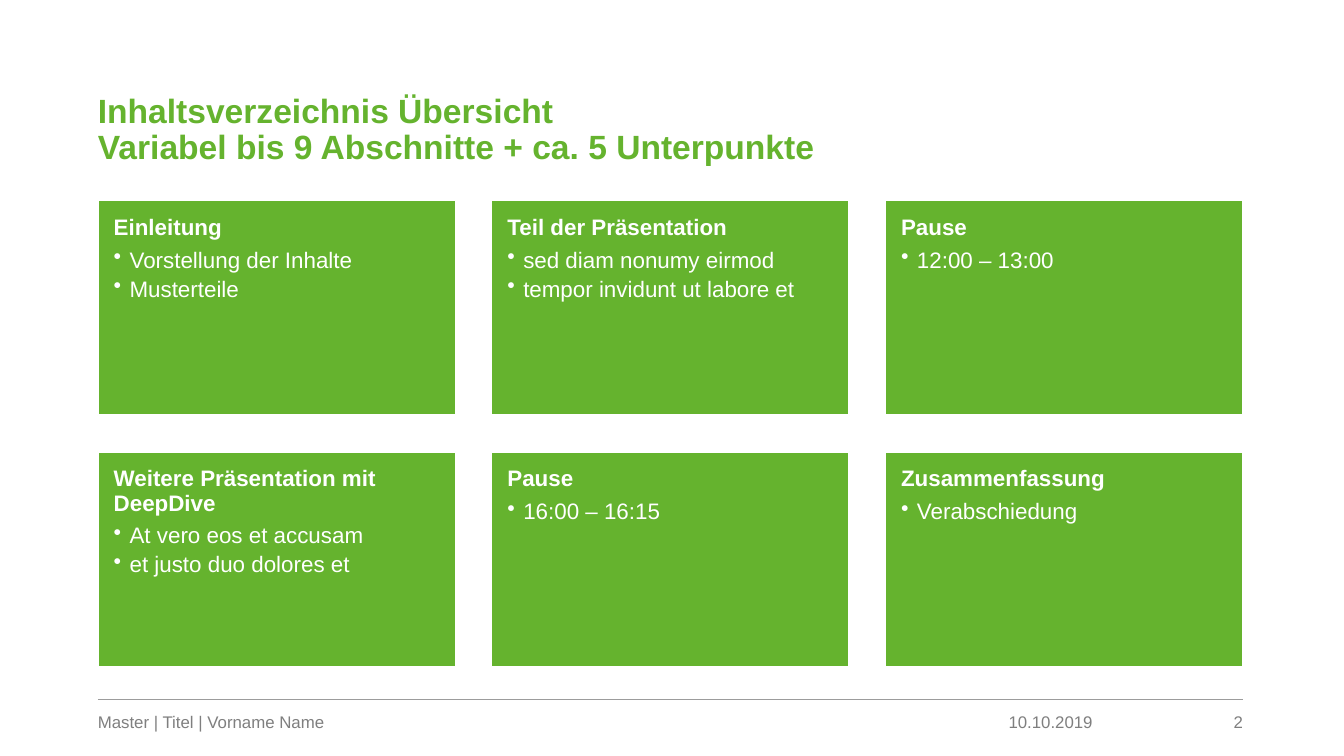
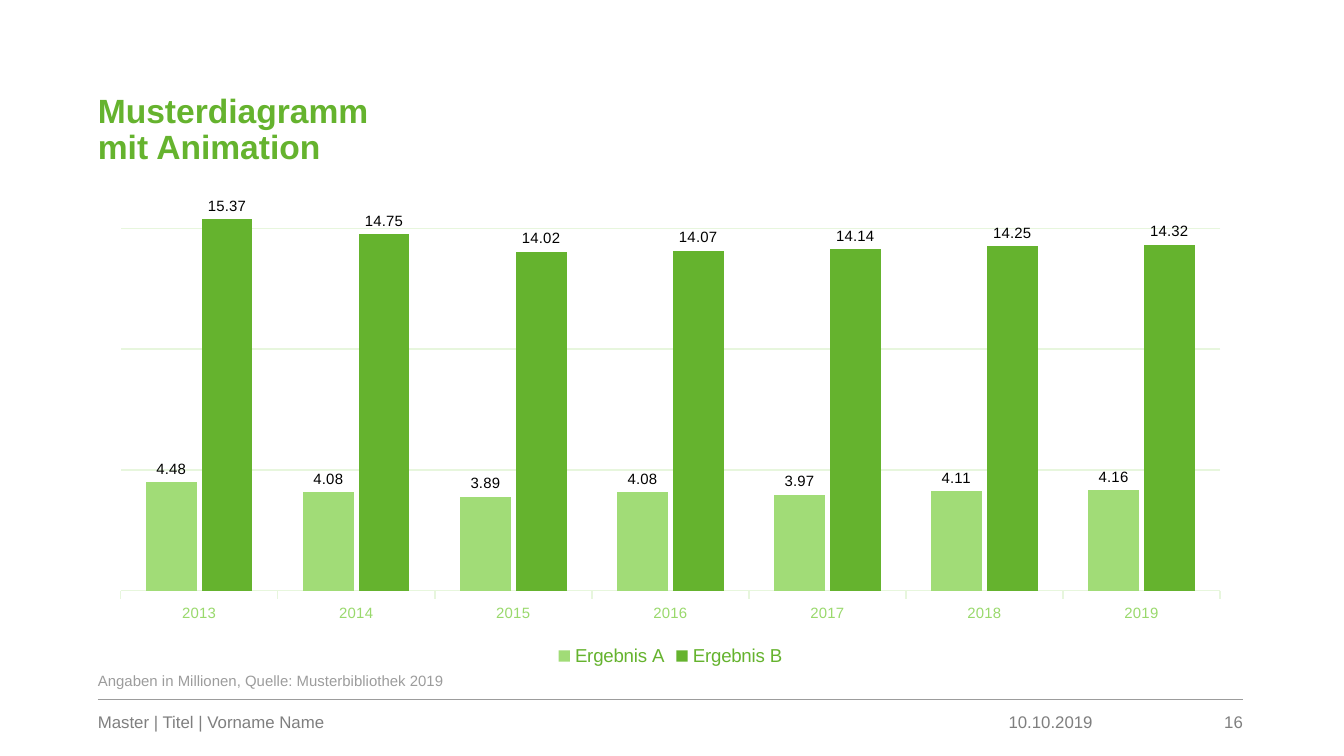
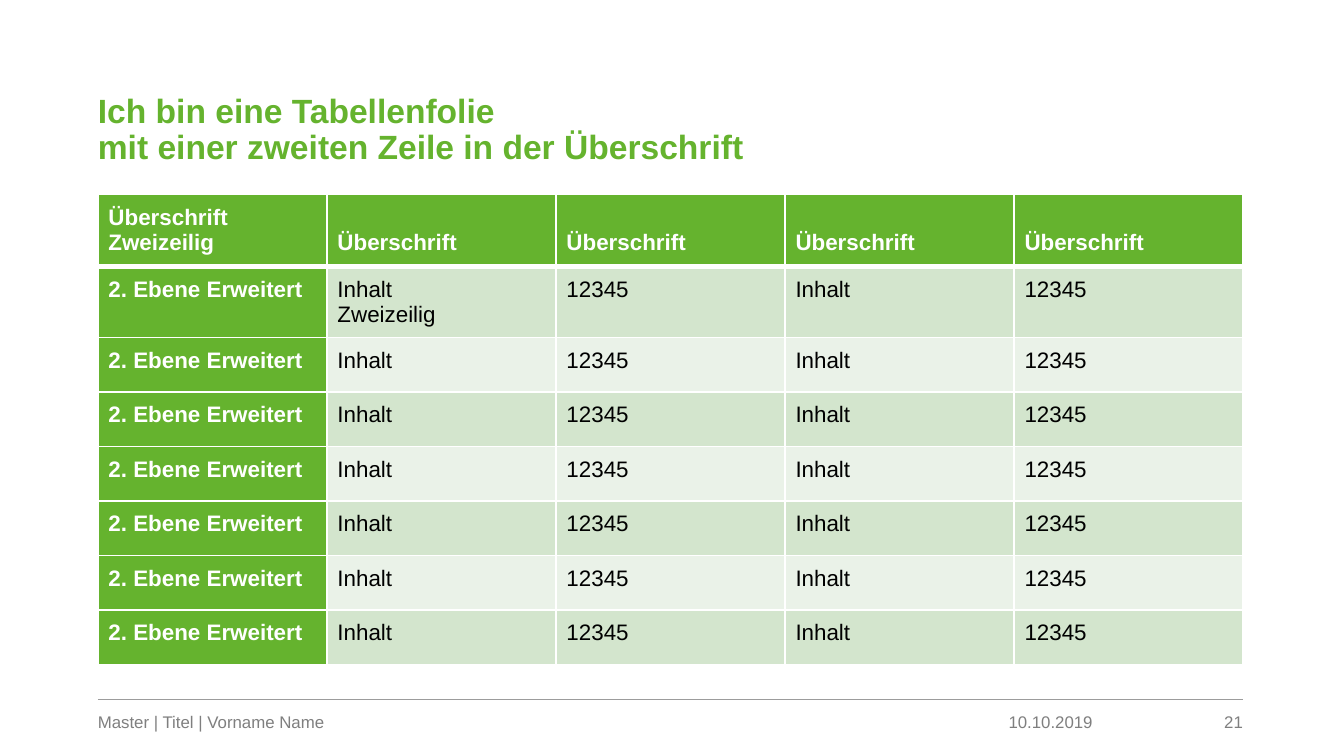
"""Builds three slides of a green template: agenda cards, column chart and table."""
from dataclasses import dataclass

from lxml import etree
from pptx import Presentation
from pptx.chart.data import CategoryChartData
from pptx.dml.color import RGBColor
from pptx.enum.chart import XL_CHART_TYPE, XL_LABEL_POSITION, XL_LEGEND_POSITION, XL_TICK_MARK
from pptx.enum.shapes import MSO_CONNECTOR, MSO_SHAPE
from pptx.enum.text import MSO_ANCHOR, MSO_AUTO_SIZE, PP_ALIGN
from pptx.oxml.ns import qn
from pptx.util import Cm, Pt

COLUMNS = XL_CHART_TYPE.COLUMN_CLUSTERED
LABEL_OUTSIDE = XL_LABEL_POSITION.OUTSIDE_END
LEGEND_BOTTOM = XL_LEGEND_POSITION.BOTTOM
TICK_OUTSIDE = XL_TICK_MARK.OUTSIDE
STRAIGHT = MSO_CONNECTOR.STRAIGHT
RECTANGLE = MSO_SHAPE.RECTANGLE
TOP, BOTTOM = MSO_ANCHOR.TOP, MSO_ANCHOR.BOTTOM
NO_AUTOFIT = MSO_AUTO_SIZE.NONE
LEFT, RIGHT = PP_ALIGN.LEFT, PP_ALIGN.RIGHT
TITLE_ONLY = 5


@dataclass(frozen=True)
class Theme:
    font: str = "Arial"
    green: str = "65B32E"
    light_green: str = "A1DC77"
    axis_green: str = "99D96C"
    grid_green: str = "E7F6DD"
    row_dark: str = "D3E5CD"
    row_light: str = "EAF2E8"
    white: str = "FFFFFF"
    black: str = "000000"
    gray: str = "9C9C9C"
    footer_gray: str = "7F7F7F"
    title_size: int = 18
    body_size: int = 12
    legend_size: int = 10
    footer_size: int = 9
    small_size: int = 8


LEFT_EDGE, CONTENT_TOP, CONTENT_WIDTH, CONTENT_HEIGHT = 1.85, 3.68, 21.64, 9.02
FOOTER_TOP, FOOTER_HEIGHT = 13.23, 0.61
CARD_TOP, CARD_WIDTH, CARD_HEIGHT = 3.79, 6.76, 4.06
CARD_STEP_X, CARD_STEP_Y, CARDS_PER_ROW = 7.44, 4.75, 3
HEADER_ROW_HEIGHT, ROW_HEIGHT = 1.35, 1.03

AGENDA = [
    ("Einleitung", ["Vorstellung der Inhalte", "Musterteile"]),
    ("Teil der Präsentation", ["sed diam nonumy eirmod", "tempor invidunt ut labore et"]),
    ("Pause", ["12:00 – 13:00"]),
    ("Weitere Präsentation mit DeepDive", ["At vero eos et accusam", "et justo duo dolores et"]),
    ("Pause", ["16:00 – 16:15"]),
    ("Zusammenfassung", ["Verabschiedung"]),
]
YEARS = [str(year) for year in range(2013, 2020)]
RESULTS = {
    "Ergebnis A": [4.48, 4.08, 3.89, 4.08, 3.97, 4.11, 4.16],
    "Ergebnis B": [15.37, 14.75, 14.02, 14.07, 14.14, 14.25, 14.32],
}
HEADINGS = ["Überschrift\nZweizeilig"] + ["Überschrift"] * 4
ENTRIES = ["2. Ebene Erweitert"] + ["Inhalt", "12345"] * 2
TALL_ENTRIES = [ENTRIES[0], "Inhalt\nZweizeilig"] + ENTRIES[2:]
TABLE_ROWS = [HEADINGS, TALL_ENTRIES] + [ENTRIES] * 6


def rgb(color):
    return RGBColor.from_string(color)


class Deck:
    def __init__(self, theme):
        self.theme = theme
        self.presentation = Presentation()
        self.presentation.slide_width = Cm(25.4)
        self.presentation.slide_height = Cm(14.29)
        self.slide = None

    def style_font(self, font, size, color, bold=False):
        font.name = self.theme.font
        font.size = Pt(size)
        font.bold = bold
        font.color.rgb = rgb(color)

    def style_runs(self, paragraph, size, color, bold=False):
        for run in paragraph.runs:
            self.style_font(run.font, size, color, bold)

    def set_frame(self, frame, margin=0.0, anchor=TOP):
        frame.word_wrap = True
        frame.auto_size = NO_AUTOFIT
        frame.vertical_anchor = anchor
        frame.margin_left = frame.margin_right = Cm(margin)
        frame.margin_top = frame.margin_bottom = Cm(margin)

    def start_slide(self, heading, number):
        layout = self.presentation.slide_layouts[TITLE_ONLY]
        self.slide = self.presentation.slides.add_slide(layout)
        self.title(heading)
        self.rule()
        self.footer("Master | Titel | Vorname Name", LEFT_EDGE, 12.24)
        self.footer("10.10.2019", 17.83, 2.82, RIGHT)
        self.footer(number, 21.56, 1.93, RIGHT)

    def title(self, heading):
        title = self.slide.shapes.title
        title.left, title.top = Cm(LEFT_EDGE), Cm(1.04)
        title.width, title.height = Cm(CONTENT_WIDTH), Cm(2.11)
        self.set_frame(title.text_frame, anchor=BOTTOM)
        paragraph = title.text_frame.paragraphs[0]
        paragraph.text = heading
        paragraph.alignment = LEFT
        paragraph.line_spacing = 0.9
        self.style_runs(paragraph, self.theme.title_size, self.theme.green, True)
        for line_break in paragraph._p.findall(qn("a:br")):
            etree.SubElement(line_break, qn("a:rPr"), sz=str(self.theme.title_size * 100))

    def rule(self):
        rule = self.slide.shapes.add_connector(
            STRAIGHT, Cm(LEFT_EDGE), Cm(FOOTER_TOP), Cm(LEFT_EDGE + CONTENT_WIDTH), Cm(FOOTER_TOP))
        rule.line.color.rgb = rgb(self.theme.gray)
        rule.line.width = Pt(0.5)
        etree.SubElement(rule._element.spPr, qn("a:effectLst"))

    def text(self, words, box, size, color, alignment=LEFT, anchor=TOP):
        frame = self.slide.shapes.add_textbox(*map(Cm, box)).text_frame
        self.set_frame(frame, anchor=anchor)
        frame.text = words
        frame.paragraphs[0].alignment = alignment
        self.style_runs(frame.paragraphs[0], size, color)

    def footer(self, words, left, width, alignment=LEFT):
        self.text(words, (left, FOOTER_TOP, width, FOOTER_HEIGHT),
                  self.theme.footer_size, self.theme.footer_gray, alignment, BOTTOM)

    def card(self, left, top, heading, points):
        theme = self.theme
        card = self.slide.shapes.add_shape(
            RECTANGLE, Cm(left), Cm(top), Cm(CARD_WIDTH), Cm(CARD_HEIGHT))
        card.shadow.inherit = False
        card.fill.solid()
        card.fill.fore_color.rgb = rgb(theme.green)
        card.line.color.rgb = rgb(theme.white)
        card.line.width = Pt(1)
        frame = card.text_frame
        self.set_frame(frame, margin=0.3)
        frame.text = "\n".join([heading, *points])
        for position, paragraph in enumerate(frame.paragraphs):
            is_heading = position == 0
            paragraph.alignment = LEFT
            paragraph.line_spacing = 0.9
            paragraph.space_after = Pt(4.5 if is_heading else 2.5)
            if not is_heading:
                self.bullet(paragraph)
            self.style_runs(paragraph, theme.body_size, theme.white, is_heading)

    def bullet(self, paragraph):
        paragraph.level = 1
        properties = paragraph._p.get_or_add_pPr()
        properties.set("marL", str(Cm(0.3)))
        properties.set("indent", str(-Cm(0.3)))
        etree.SubElement(properties, qn("a:buChar"), char="•")

    def column_chart(self, categories, results):
        theme = self.theme
        data = CategoryChartData(number_format="#,##0.00")
        data.categories = categories
        for name, values in results.items():
            data.add_series(name, values)
        chart = self.slide.shapes.add_chart(
            COLUMNS, Cm(LEFT_EDGE), Cm(CONTENT_TOP), Cm(CONTENT_WIDTH), Cm(CONTENT_HEIGHT), data).chart
        self.style_font(chart.font, theme.legend_size, theme.green)
        chart.has_title = False
        chart.has_legend = True
        chart.legend.position = LEGEND_BOTTOM
        chart.legend.include_in_layout = False
        self.style_font(chart.legend.font, theme.legend_size, theme.green)
        self.style_axes(chart)
        plot = chart.plots[0]
        plot.gap_width, plot.overlap = 100, -10
        plot.vary_by_categories = False
        for series, color in zip(plot.series, (theme.light_green, theme.green)):
            series.format.fill.solid()
            series.format.fill.fore_color.rgb = rgb(color)
            labels = series.data_labels
            labels.show_value = True
            labels.position = LABEL_OUTSIDE
            labels.number_format = "#,##0.00"
            labels.number_format_is_linked = False
            self.style_font(labels.font, theme.small_size, theme.black)

    def style_axes(self, chart):
        theme = self.theme
        years, amounts = chart.category_axis, chart.value_axis
        years.major_tick_mark = TICK_OUTSIDE
        self.style_font(years.tick_labels.font, theme.small_size, theme.axis_green)
        amounts.visible = False
        amounts.minimum_scale, amounts.maximum_scale, amounts.major_unit = 0, 16, 5
        amounts.has_major_gridlines = True
        for line in (years.format.line, amounts.major_gridlines.format.line):
            line.color.rgb = rgb(theme.grid_green)
            line.width = Pt(0.75)

    def table(self, rows):
        theme = self.theme
        heights = [HEADER_ROW_HEIGHT] * 2 + [ROW_HEIGHT] * (len(rows) - 2)
        table = self.slide.shapes.add_table(
            len(rows), len(rows[0]), Cm(LEFT_EDGE), Cm(CONTENT_TOP),
            Cm(CONTENT_WIDTH), Cm(sum(heights))).table
        table.first_col = True
        for row, height in zip(table.rows, heights):
            row.height = Cm(height)
        for row_number, entries in enumerate(rows):
            band = theme.row_dark if row_number % 2 else theme.row_light
            for column_number, entry in enumerate(entries):
                is_heading = row_number == 0 or column_number == 0
                self.cell(table.cell(row_number, column_number), entry, row_number,
                          theme.green if is_heading else band, is_heading)

    def cell(self, cell, entry, row_number, fill, is_heading):
        theme = self.theme
        top, bottom = {0: (1, 3), 1: (3, 1)}.get(row_number, (1, 1))
        for side, width in zip("LRTB", (1, 1, top, bottom)):
            self.border(cell, side, width)
        cell.fill.solid()
        cell.fill.fore_color.rgb = rgb(fill)
        cell.margin_left = cell.margin_right = Cm(0.2)
        cell.margin_top = cell.margin_bottom = Cm(0.2)
        cell.vertical_anchor = TOP if row_number else BOTTOM
        cell.text_frame.text = entry
        for paragraph in cell.text_frame.paragraphs:
            self.style_runs(paragraph, theme.body_size,
                            theme.white if is_heading else theme.black, is_heading)

    def border(self, cell, side, width):
        properties = cell._tc.get_or_add_tcPr()
        line = etree.SubElement(properties, qn(f"a:ln{side}"), w=str(Pt(width)))
        fill = etree.SubElement(line, qn("a:solidFill"))
        etree.SubElement(fill, qn("a:srgbClr"), val=self.theme.white)


def main():
    theme = Theme()
    deck = Deck(theme)

    deck.start_slide("Inhaltsverzeichnis Übersicht\nVariabel bis 9 Abschnitte + ca. 5 Unterpunkte", "2")
    for position, (heading, points) in enumerate(AGENDA):
        row, column = divmod(position, CARDS_PER_ROW)
        deck.card(LEFT_EDGE + column * CARD_STEP_X, CARD_TOP + row * CARD_STEP_Y, heading, points)

    deck.start_slide("Musterdiagramm\nmit Animation", "16")
    deck.text("Angaben in Millionen, Quelle: Musterbibliothek 2019",
              (LEFT_EDGE, 12.7, 17.65, 0.33), theme.small_size, theme.gray)
    deck.column_chart(YEARS, RESULTS)

    deck.start_slide("Ich bin eine Tabellenfolie\nmit einer zweiten Zeile in der Überschrift", "21")
    deck.table(TABLE_ROWS)

    deck.presentation.save("out.pptx")


if __name__ == "__main__":
    main()
